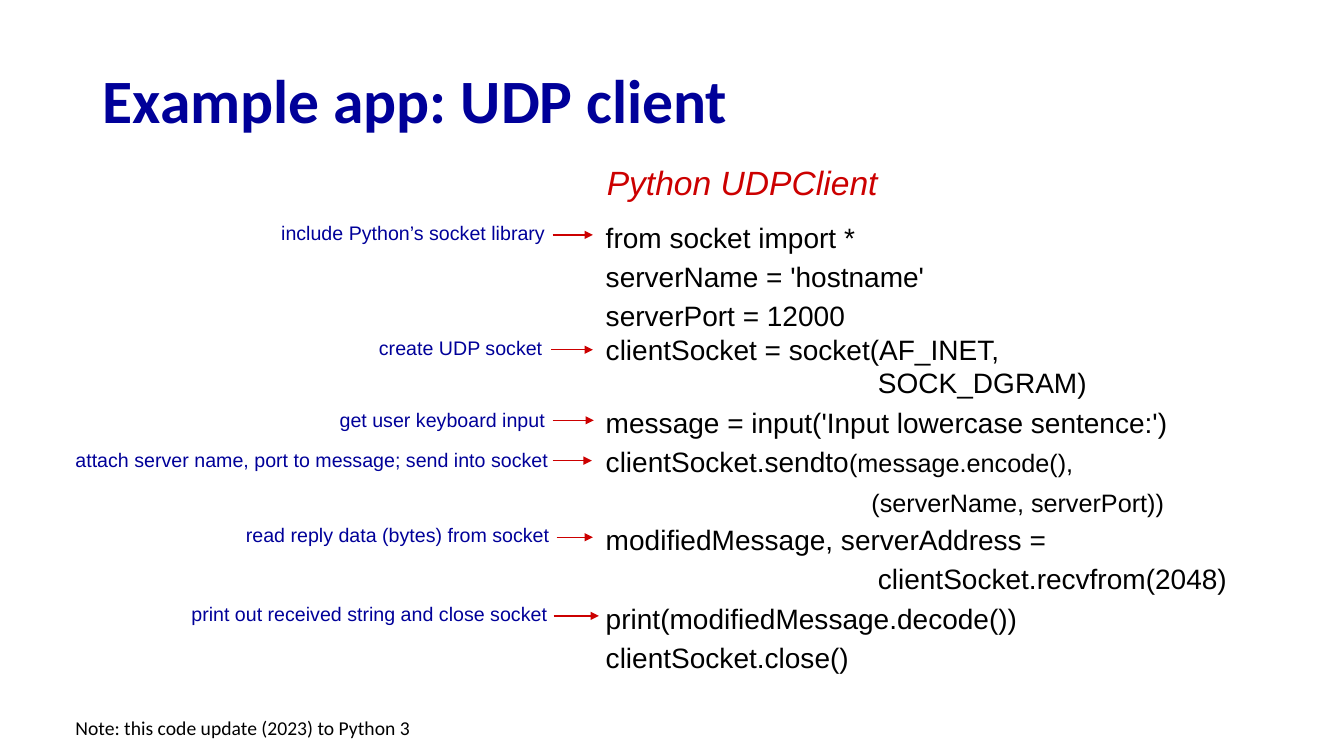
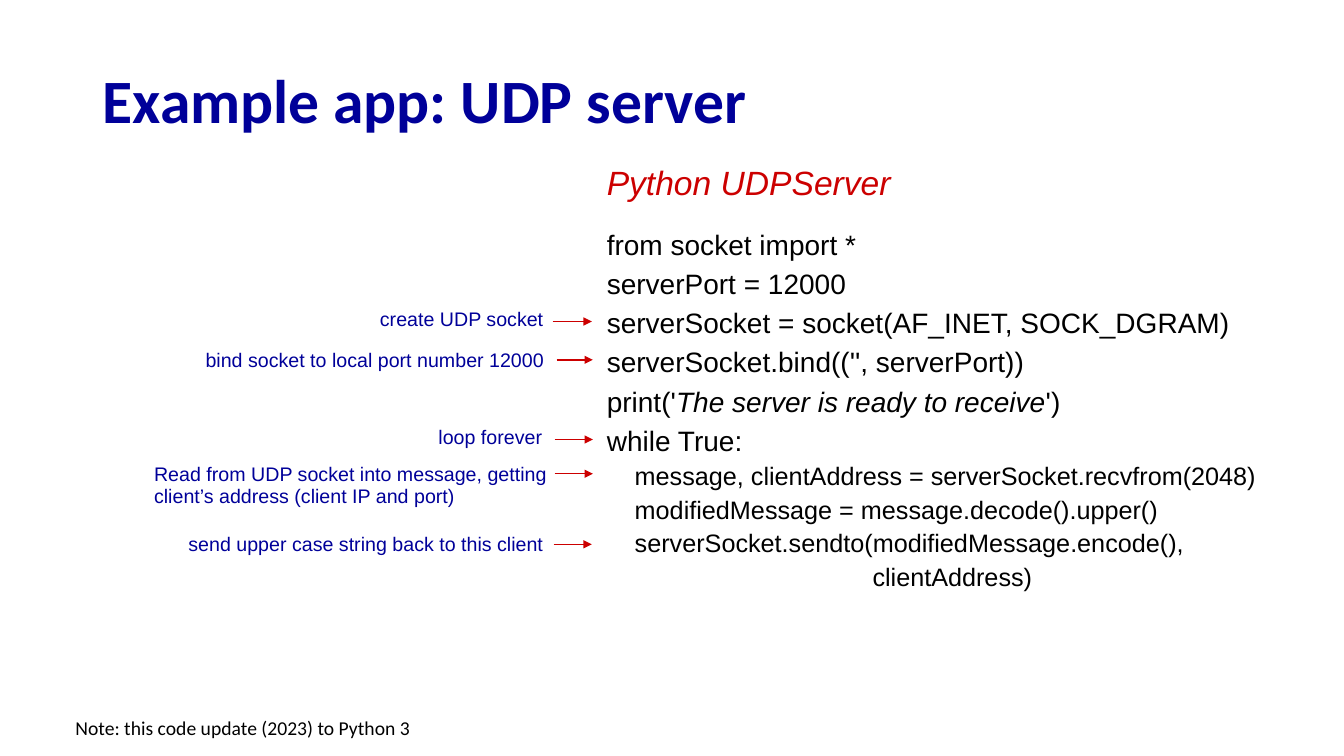
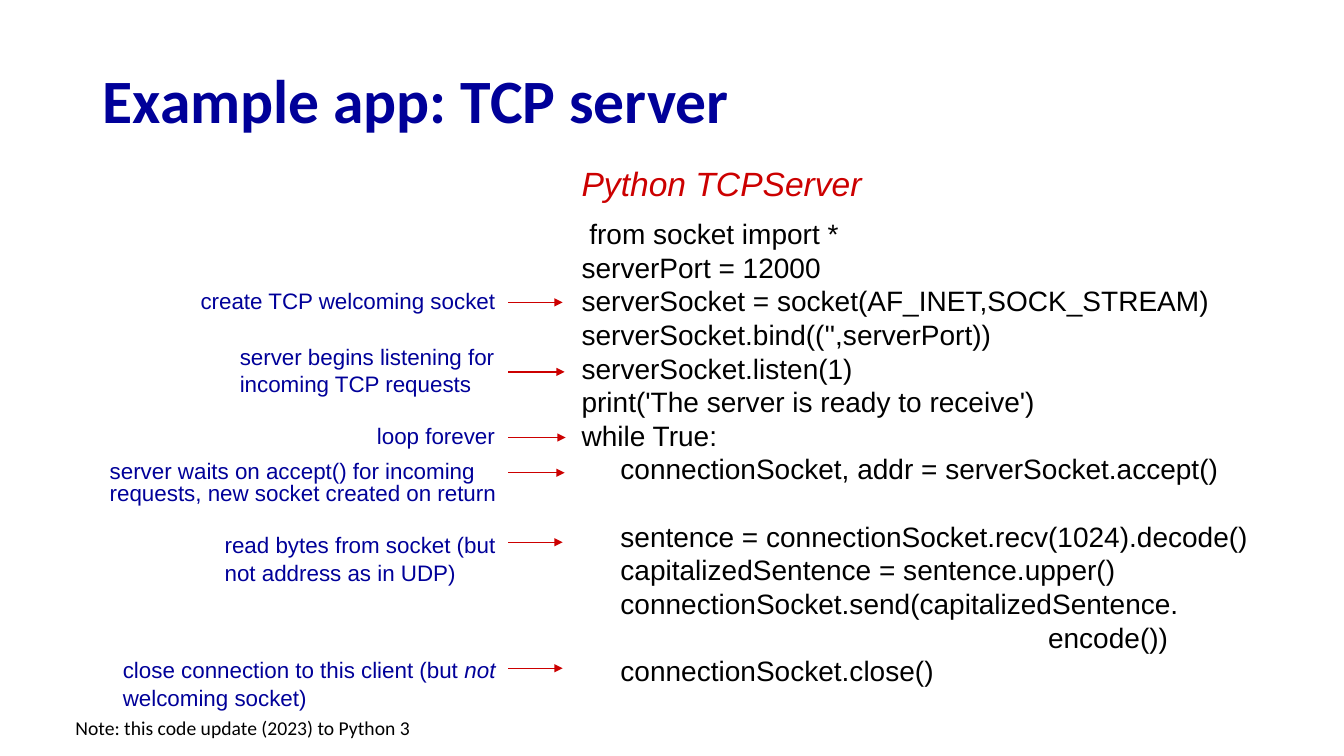
from dataclasses import dataclass

from lxml.etree import SubElement
from pptx import Presentation
from pptx.dml.color import RGBColor
from pptx.enum.shapes import MSO_CONNECTOR as Connector
from pptx.enum.text import MSO_ANCHOR as Anchor
from pptx.oxml.ns import qn
from pptx.util import Inches, Pt

COLORS = {"navy": "000099", "red": "CC0000", "black": "000000"}
ITALIC = {"italic": True}
SMALL = {"size": Pt(18)}


@dataclass
class Line:
    """One paragraph; runs are plain strings or (text, font overrides)."""
    runs: list
    spacing: float = None
    size: float = None
    after: float = None


@dataclass
class Comment:
    """A remark in its box, with an arrow from start to end at height arrow_y."""
    runs: list
    left: float
    top: float
    width: float
    start: float
    end: float
    arrow_y: float
    spacing: float = None
    height: float = 0.34


def code_lines(texts, spacing, size=20):
    return [Line([text], spacing, size) for text in texts]


def add_text(shapes, box, lines, size, color, font="Arial", bold=False,
             italic=False, anchor=Anchor.TOP):
    frame = shapes.add_textbox(*(Inches(value) for value in box)).text_frame
    frame.word_wrap = True
    frame.vertical_anchor = anchor
    for index, line in enumerate(lines):
        paragraph = frame.add_paragraph() if index else frame.paragraphs[0]
        if line.spacing:
            paragraph.line_spacing = Pt(line.spacing)
        if line.after:
            paragraph.space_after = Pt(line.after)
        paragraph.font.name = font
        paragraph.font.size = Pt(line.size or size)
        paragraph.font.bold = bold
        paragraph.font.italic = italic
        paragraph.font.color.rgb = RGBColor.from_string(COLORS[color])
        for item in line.runs:
            text, overrides = (item, {}) if isinstance(item, str) else item
            run = paragraph.add_run()
            run.text = text
            for name, value in overrides.items():
                setattr(run.font, name, value)


def add_arrow(shapes, start, end, y):
    arrow = shapes.add_connector(Connector.STRAIGHT, Inches(start), Inches(y),
                                 Inches(end), Inches(y))
    arrow.line.color.rgb = RGBColor.from_string(COLORS["red"])
    arrow.line.width = Pt(1)
    SubElement(arrow.line._get_or_add_ln(), qn("a:tailEnd"), type="triangle")
    SubElement(arrow._element.spPr, qn("a:effectLst"))


def add_comment(slide, comment, size):
    shapes = slide.shapes.add_group_shape().shapes
    box = (comment.left, comment.top, comment.width, comment.height)
    add_text(shapes, box, [Line(comment.runs, comment.spacing)], size, "navy")
    add_arrow(shapes, comment.start, comment.end, comment.arrow_y)


def add_code_slide(presentation, app, heading_box, code_box, code, comments,
                   comment_size):
    slide = presentation.slides.add_slide(presentation.slide_layouts[6])
    shapes = slide.shapes
    add_text(shapes, (0.92, 0.49, 11.5, 0.98), [Line([f"Example app: {app}"])],
             44, "navy", font="Calibri", bold=True, anchor=Anchor.MIDDLE)
    protocol, role = app.split()
    add_text(shapes, heading_box, [Line([f"Python {protocol}{role.title()}"])],
             24, "red", italic=True)
    add_text(shapes, code_box, code, 20, "black")
    for comment in comments:
        add_comment(slide, comment, comment_size)
    add_text(shapes, (0.65, 7.05, 3.7, 0.34),
             [Line(["Note: this code update (2023) to Python 3"])],
             14, "black", font="Calibri")


def add_udp_client(presentation):
    code = [
        *code_lines(["from socket import *", "serverName = 'hostname'",
                     "serverPort = 12000"], 28),
        *code_lines(["clientSocket = socket(AF_INET,",
                     "                                   SOCK_DGRAM)"], 24),
        *code_lines(["message = input('Input lowercase sentence:')"], 28),
        Line(["clientSocket.sendto", ("(message.encode(),", SMALL)], 28),
        *code_lines(["                                      (serverName, serverPort))"],
                    28, 18),
        *code_lines(["modifiedMessage, serverAddress =",
                     "                                   clientSocket.recvfrom(2048)",
                     "print(modifiedMessage.decode())",
                     "clientSocket.close()"], 28),
    ]
    comments = [
        Comment(["include Python’s socket library"], 2.69, 2.15, 3.31, 5.48, 5.88, 2.33, 16),
        Comment(["create UDP socket"], 3.66, 3.28, 3.22, 5.47, 5.88, 3.47),
        Comment(["get user keyboard input"], 3.27, 4.01, 3.22, 5.48, 5.89, 4.17, 16),
        Comment(["attach server name, port to message; send into socket"],
                0.65, 4.39, 5.16, 5.48, 5.87, 4.57),
        Comment(["print out received string and close socket"],
                1.8, 5.92, 4.03, 5.49, 5.94, 6.11),
        Comment(["read reply data (bytes) from socket"],
                2.34, 5.14, 4.47, 5.52, 5.88, 5.33),
    ]
    add_code_slide(presentation, "UDP client", (5.92, 1.56, 3.1, 0.51),
                   (5.91, 2.08, 6.6, 4.67), code, comments, 14)


def add_udp_server(presentation):
    code = [
        *code_lines(["from socket import *", "serverPort = 12000",
                     "serverSocket = socket(AF_INET, SOCK_DGRAM)",
                     "serverSocket.bind(('', serverPort))"], 28),
        Line(["print('", ("The server is ready to receive", ITALIC), "')"], 28),
        *code_lines(["while True:"], 28),
        *code_lines(["    message, clientAddress = serverSocket.recvfrom(2048)",
                     "    modifiedMessage = message.decode().upper()",
                     "    serverSocket.sendto(modifiedMessage.encode(),",
                     "                                      clientAddress)"], 24, 18),
    ]
    comments = [
        Comment(["create UDP socket"], 3.67, 3, 2.8, 5.48, 5.87, 3.19),
        Comment(["bind socket to local port number 12000"],
                1.94, 3.4, 3.94, 5.52, 5.88, 3.57),
        Comment(["loop forever"], 4.25, 4.18, 1.31, 5.5, 5.88, 4.36, 16),
        Comment(["Read from UDP socket into message, getting "
                 "client’s address (client IP and port)"],
                1.43, 4.54, 4.2, 5.5, 5.88, 4.7, 16, 0.55),
        Comment(["send upper case string back to this client"],
                1.77, 5.23, 4.2, 5.49, 5.87, 5.4),
    ]
    add_code_slide(presentation, "UDP server", (5.92, 1.56, 3.1, 0.51),
                   (5.92, 2.15, 6.8, 3.78), code, comments, 14)


def add_tcp_server(presentation):
    code = code_lines([
        " from socket import *",
        "serverPort = 12000",
        "serverSocket = socket(AF_INET,SOCK_STREAM)",
        "serverSocket.bind(('',serverPort))",
        "serverSocket.listen(1)",
        "print('The server is ready to receive')",
        "while True:",
        "     connectionSocket, addr = serverSocket.accept()",
        "     sentence = connectionSocket.recv(1024).decode()",
        "     capitalizedSentence = sentence.upper()",
        "     connectionSocket.send(capitalizedSentence.",
        "                                                            encode())",
        "     connectionSocket.close()",
    ], 24)
    code[7].after = 24
    comments = [
        Comment(["create TCP welcoming socket"], 1.89, 2.8, 3.35, 5.04, 5.58, 3),
        Comment(["server begins listening for incoming TCP requests"],
                2.28, 3.35, 3.14, 5.04, 5.6, 3.69, 19.5, 0.64),
        Comment(["loop forever"], 3.64, 4.18, 2.03, 5.04, 5.61, 4.34, 16),
        Comment(["server waits on accept() for incoming requests, "
                 "new socket created on return"],
                0.99, 4.53, 4.67, 5.04, 5.6, 4.69, 16, 0.55),
        Comment(["read bytes from socket (but not address as in UDP)"],
                2.13, 5.22, 3, 5.04, 5.58, 5.38, 19.5, 0.64),
        Comment(["close connection to this client (but ", ("not", ITALIC),
                 " welcoming socket)"],
                1.12, 6.46, 4.27, 5.04, 5.58, 6.63, 19.5, 0.64),
    ]
    add_code_slide(presentation, "TCP server", (5.67, 1.57, 3.1, 0.51),
                   (5.67, 2.1, 7, 4.81), code, comments, 16)


def main():
    presentation = Presentation()
    presentation.slide_width = Inches(13.33)
    presentation.slide_height = Inches(7.5)
    add_udp_client(presentation)
    add_udp_server(presentation)
    add_tcp_server(presentation)
    presentation.save("out.pptx")


if __name__ == "__main__":
    main()
